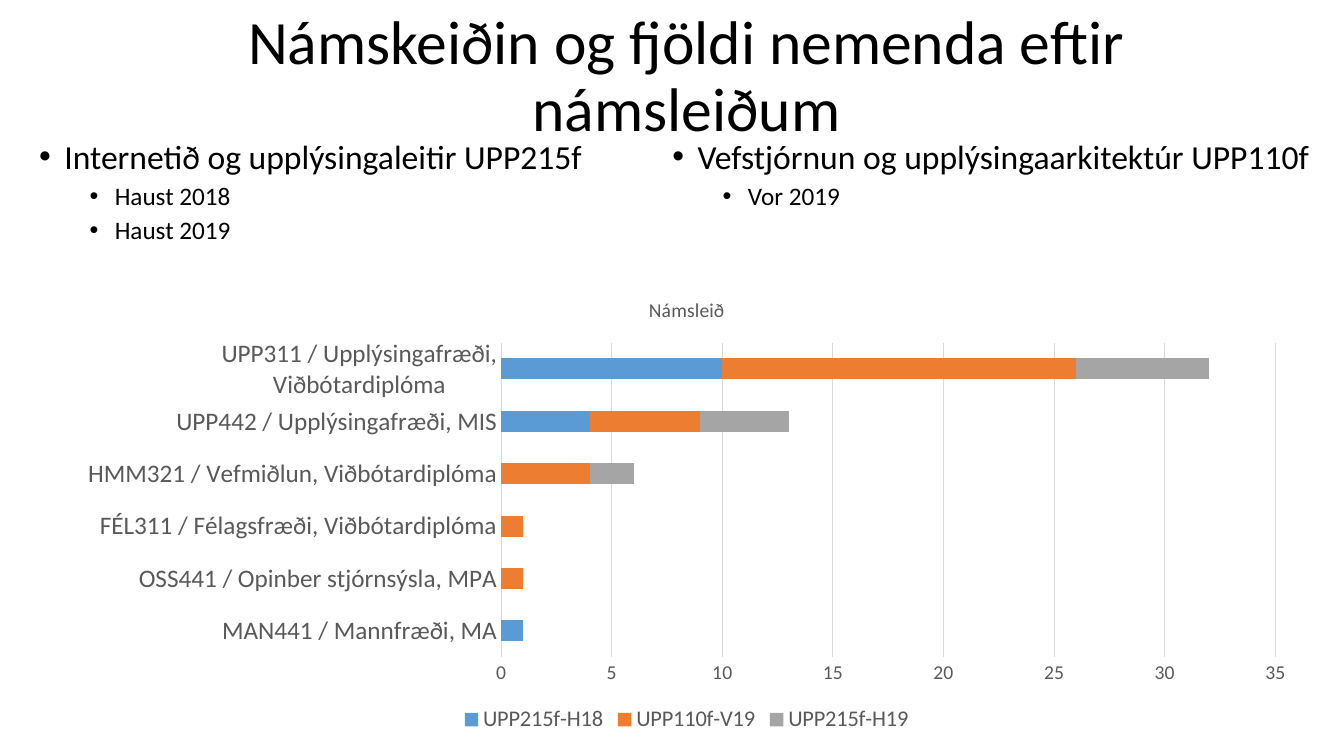
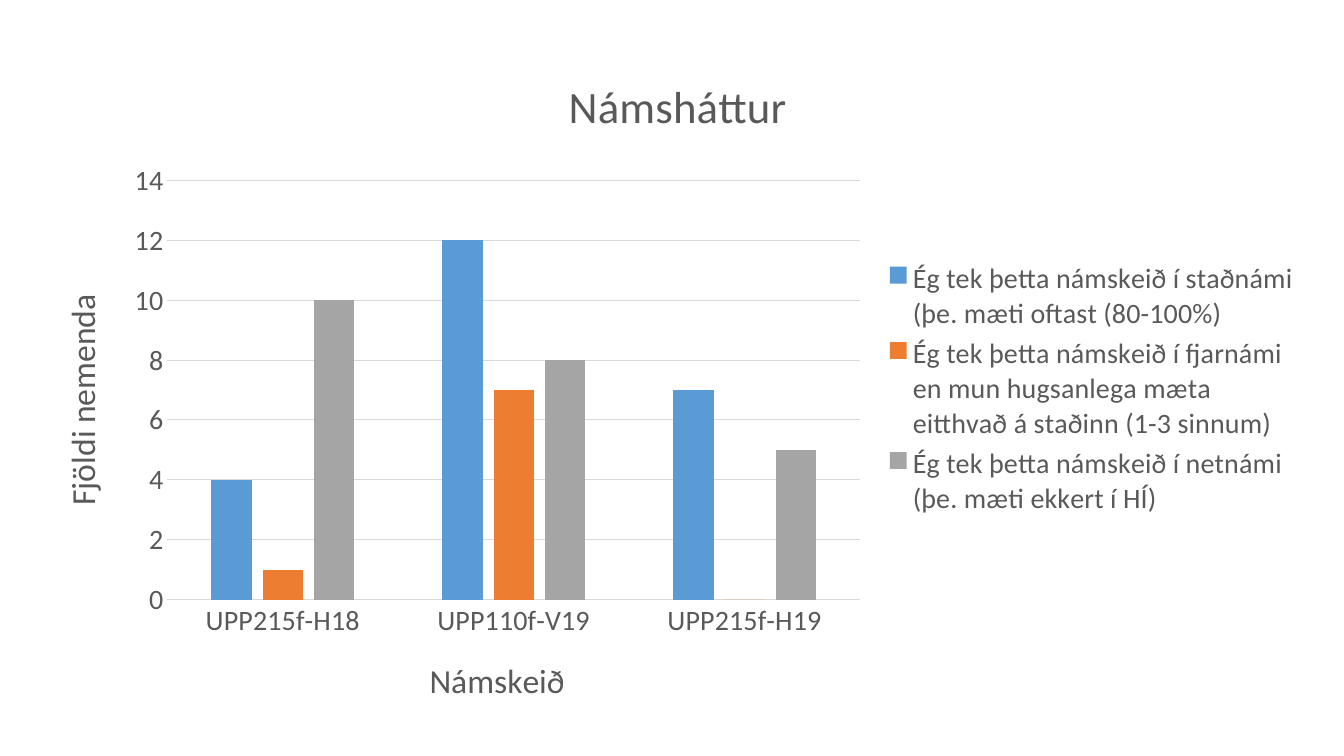
"""Build two slides on course enrolment and modes of study."""
from lxml import etree
from pptx import Presentation, util as u
from pptx.chart.data import CategoryChartData
from pptx.dml.color import RGBColor
from pptx.enum import chart as ch, text as t
from pptx.oxml import ns

THEME = {
    "font": "Calibri", "mark": "Arial",
    "ink": "000000", "gray": "595959", "rule": "D9D9D9",
    "fills": ["5B9BD5", "ED7D31", "A5A5A5"],
    "head": 44, "body": [24, 18], "left": [0.25, 0.75], "gap": [10, 5],
}
HEAD = ("Námskeiðin og fjöldi nemenda eftir námsleiðum", (0.77, 0.05, 12.08, 1.45))
LISTS = [
    ((0.29, 1.34, 6.53, 1.5), [
        (0, "Internetið og upplýsingaleitir UPP215f"),
        (1, "Haust 2018"), (1, "Haust 2019")]),
    ((6.57, 1.34, 6.53, 1.35), [
        (0, "Vefstjórnun og upplýsingaarkitektúr UPP110f"), (1, "Vor 2019")]),
]
TERMS = ["UPP215f-H18", "UPP110f-V19", "UPP215f-H19"]
PATHS = {
    "kind": ch.XL_CHART_TYPE.BAR_STACKED, "box": (0.62, 2.76, 12.38, 4.56),
    "title": ("Námsleið", 14, (6.4, 2.9)), "plot": (4.97, 3.4, 7.68, 3.12),
    "cats": ["MAN441 / Mannfræði, MA", "OSS441 / Opinber stjórnsýsla, MPA",
             "FÉL311 / Félagsfræði, Viðbótardiplóma",
             "HMM321 / Vefmiðlun, Viðbótardiplóma",
             "UPP442 / Upplýsingafræði, MIS",
             "UPP311 / Upplýsingafræði, Viðbótardiplóma"],
    "rows": list(zip(TERMS, [(1, 0, 0, 0, 4, 10), (0, 1, 1, 4, 5, 16),
                             (0, 0, 0, 2, 4, 6)])),
    "bars": {"gap_width": 150, "overlap": 100}, "sizes": (18, 14),
    "names": (None, None), "key": (ch.XL_LEGEND_POSITION.BOTTOM, 16, None),
}
MODES = {
    "kind": ch.XL_CHART_TYPE.COLUMN_CLUSTERED, "box": (0.39, 0.47, 12.66, 6.76),
    "title": ("Námsháttur", 32, (5.56, 0.66)), "plot": (1.66, 1.79, 6.87, 4.16),
    "cats": TERMS,
    "rows": [
        ("Ég tek þetta námskeið í staðnámi (þe. mæti oftast (80-100%)", (4, 12, 7)),
        ("Ég tek þetta námskeið í fjarnámi en mun hugsanlega mæta eitthvað "
         "á staðinn (1-3 sinnum)", (1, 7, 0)),
        ("Ég tek þetta námskeið í netnámi (þe. mæti ekkert í HÍ)", (10, 8, 5))],
    "bars": {"gap_width": 219, "overlap": -27}, "sizes": (20, 20),
    "names": (("Námskeið", 24, (4.2, 6.47)), ("Fjöldi nemenda", 24, (0.53, 2.86))),
    "key": (ch.XL_LEGEND_POSITION.RIGHT, 20, (8.8, 2.53, 4.05, 2.65)),
}


def put(item, **vals):
    for name, val in vals.items():
        setattr(item, name, val)


def style(font, size, tint):
    put(font, name=THEME["font"], size=u.Pt(size), bold=False)
    font.color.rgb = RGBColor.from_string(tint)


def write(slide, box, lines, size=None, **form):
    """Add a text box; lines with a level get bullets."""
    frame = slide.shapes.add_textbox(*map(u.Inches, box)).text_frame
    put(frame, word_wrap=True, **form)
    for num, (level, words) in enumerate(lines):
        para = frame.add_paragraph() if num else frame.paragraphs[0]
        put(para, text=words, line_spacing=0.9)
        if level is None:
            para.alignment = t.PP_ALIGN.CENTER
        else:
            put(para, level=level, space_before=u.Pt(THEME["gap"][level] if num else 0))
            prop = para._p.get_or_add_pPr()
            prop.set("marL", str(u.Inches(THEME["left"][level])))
            prop.set("indent", str(u.Inches(-0.25)))
            etree.SubElement(prop, ns.qn("a:buFont")).set("typeface", THEME["mark"])
            etree.SubElement(prop, ns.qn("a:buChar")).set("char", "•")
        style(para.font, size or THEME["body"][level], THEME["ink"])


def place(node, spot, box, inner=False):
    """Fix a chart part at a spot given in slide inches."""
    for old in node.findall(ns.qn("c:layout")):
        node.remove(old)
    lay = etree.Element(ns.qn("c:layout"))
    form = etree.SubElement(lay, ns.qn("c:manualLayout"))
    left, top, wide, high = box
    parts = [("layoutTarget", "inner")] if inner else []
    parts += [("xMode", "edge"), ("yMode", "edge"),
              ("x", (spot[0] - left) / wide), ("y", (spot[1] - top) / high)]
    parts += zip("wh", (n / full for n, full in zip(spot[2:], (wide, high))))
    for tag, val in parts:
        etree.SubElement(form, ns.qn("c:" + tag)).set("val", str(val))
    node.insert(0 if inner else 1, lay)


def label(title, data, box):
    words, size, spot = data
    title.text_frame.text = words
    style(title.text_frame.paragraphs[0].runs[0].font, size, THEME["gray"])
    place(title._element, spot, box)


def draw(slide, info):
    """Add one chart with its axes, titles and legend."""
    data = CategoryChartData()
    data.categories = info["cats"]
    for name, vals in info["rows"]:
        data.add_series(name, vals)
    box = info["box"]
    chart = slide.shapes.add_chart(info["kind"], *map(u.Inches, box), data).chart
    style(chart.font, 10, THEME["ink"])
    chart.has_title = chart.has_legend = True
    label(chart.chart_title, info["title"], box)
    plot = chart.plots[0]
    put(plot, vary_by_categories=False, **info["bars"])
    for row, tint in zip(plot.series, THEME["fills"]):
        row.invert_if_negative = False
        row.format.fill.solid()
        row.format.fill.fore_color.rgb = RGBColor.from_string(tint)
    axes = chart.category_axis, chart.value_axis
    for axis, size, name in zip(axes, info["sizes"], info["names"]):
        put(axis, major_tick_mark=ch.XL_TICK_MARK.NONE,
            minor_tick_mark=ch.XL_TICK_MARK.NONE)
        style(axis.tick_labels.font, size, THEME["gray"])
        if name:
            axis.has_title = True
            label(axis.axis_title, name, box)
    axes[1].has_major_gridlines = True
    axes[1].format.line.fill.background()
    for line in (axes[0].format.line, axes[1].major_gridlines.format.line):
        line.width = u.Pt(0.75)
        line.color.rgb = RGBColor.from_string(THEME["rule"])
    side, size, spot = info["key"]
    put(chart.legend, position=side, include_in_layout=False)
    style(chart.legend.font, size, THEME["gray"])
    if spot:
        place(chart.legend._element, spot, box)
    place(chart._chartSpace.chart.plotArea, info["plot"], box, inner=True)


def main():
    deck = Presentation()
    put(deck, slide_width=u.Inches(13.33), slide_height=u.Inches(7.5))
    first, second = (deck.slides.add_slide(deck.slide_layouts[6]) for _ in range(2))
    words, box = HEAD
    write(first, box, [(None, words)], THEME["head"],
          vertical_anchor=t.MSO_ANCHOR.MIDDLE)
    for box, lines in LISTS:
        write(first, box, lines)
    draw(first, PATHS)
    draw(second, MODES)
    deck.save("out.pptx")


if __name__ == "__main__":
    main()
